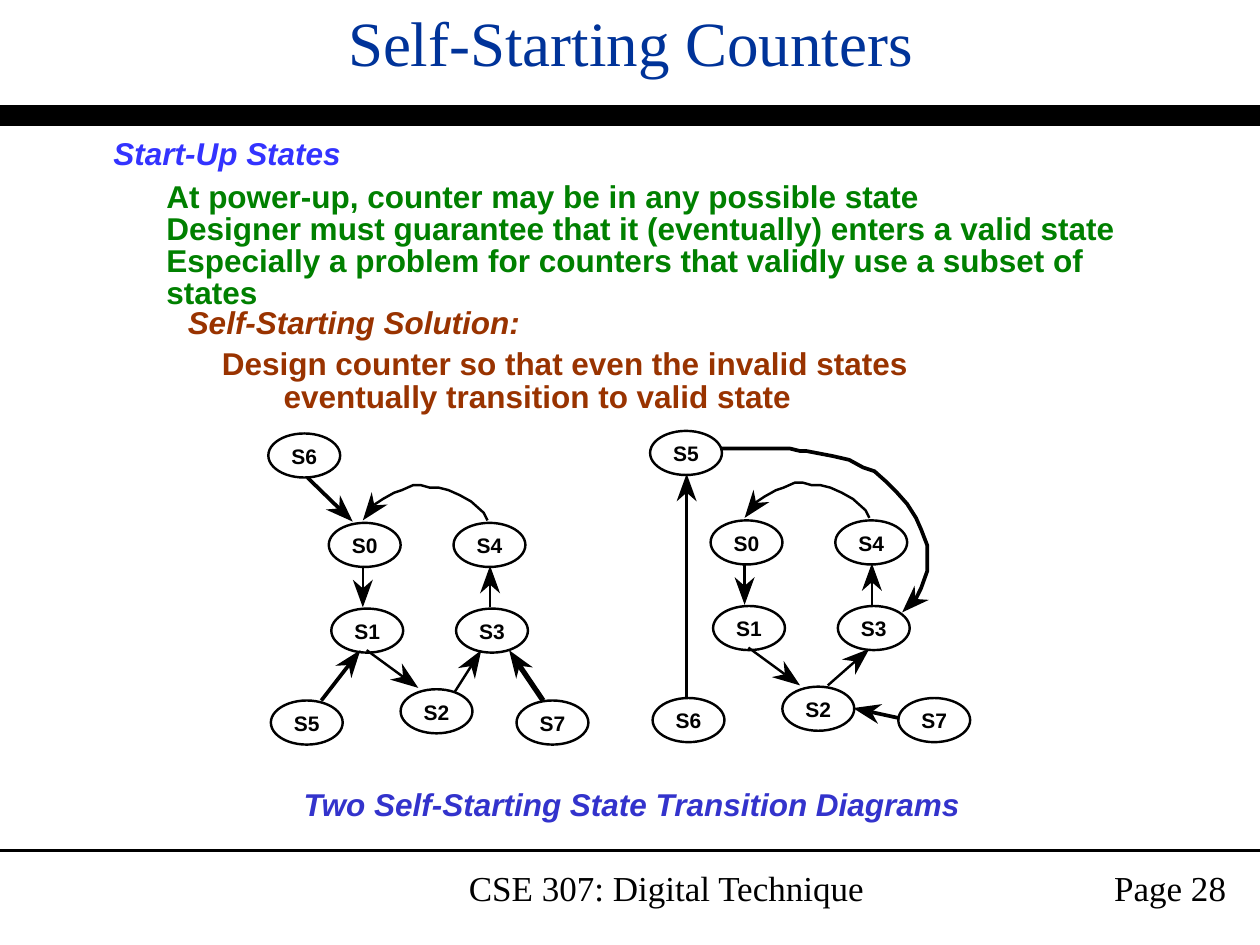
from math import hypot

from lxml.etree import SubElement
from pptx import Presentation
from pptx.dml.color import RGBColor
from pptx.enum.shapes import MSO_CONNECTOR as CONNECTOR, MSO_SHAPE as SHAPE
from pptx.enum.text import MSO_ANCHOR as ANCHOR, MSO_AUTO_SIZE as AUTO_SIZE
from pptx.enum.text import PP_ALIGN as ALIGN
from pptx.oxml.ns import qn
from pptx.util import Inches, Pt

BLACK = RGBColor(0x00, 0x00, 0x00)
WHITE = RGBColor(0xFF, 0xFF, 0xFF)
NAVY = RGBColor(0x00, 0x33, 0x99)
BLUE = RGBColor(0x33, 0x33, 0xFF)
GREEN = RGBColor(0x00, 0x80, 0x00)
BROWN = RGBColor(0x99, 0x33, 0x00)
INDIGO = RGBColor(0x33, 0x33, 0xCC)

presentation = Presentation()
presentation.slide_width, presentation.slide_height = Inches(10), Inches(7.5)
slide = presentation.slides.add_slide(presentation.slide_layouts[5])
shapes = slide.shapes


def write_text(shape, lines, align, spacing, insets, frame_format, font_format):
    frame = shape.text_frame
    frame.margin_left = frame.margin_right = Inches(insets[0])
    frame.margin_top = frame.margin_bottom = Inches(insets[1])
    for name, value in frame_format.items():
        setattr(frame, name, value)
    frame.text = "\n".join(lines)
    for paragraph in frame.paragraphs:
        paragraph.alignment = align
        paragraph.line_spacing = spacing
        paragraph.space_before = Pt(0)
        for name, value in font_format.items():
            if name == "color":
                paragraph.font.color.rgb = value
            else:
                setattr(paragraph.font, name, value)


def draw_path(points, width, closed=False):
    """Draw a straight line, an open curve or a filled outline."""
    places = [(Inches(x), Inches(y)) for x, y in points]
    if len(places) == 2:
        shape = shapes.add_connector(CONNECTOR.STRAIGHT, *places[0], *places[1])
        SubElement(shape._element.spPr, qn("a:effectLst"))
    else:
        builder = shapes.build_freeform(*places[0])
        builder.add_line_segments(places[1:], close=closed)
        shape = builder.convert_to_shape()
        shape.shadow.inherit = False
        if closed:
            shape.fill.solid()
            shape.fill.fore_color.rgb = BLACK
        else:
            shape.fill.background()
    if width:
        shape.line.color.rgb = BLACK
        shape.line.width = Pt(width)
    else:
        shape.line.fill.background()


# Rules above and below the content
for y, width in ((0.92, 12), (6.75, 1.5)):
    draw_path([(0, y), (10, y)], width)

# Title
title = shapes.title
title.left, title.top = Inches(2.69), Inches(0)
title.width, title.height = Inches(4.63), Inches(0.66)
write_text(title, ["Self-Starting Counters"], ALIGN.CENTER, 1, (0.07, 0.03),
           {"word_wrap": True, "vertical_anchor": ANCHOR.TOP},
           {"size": Pt(36), "name": "Times New Roman", "color": NAVY})

# Footer
for left, width, text, align in (
    (2.5, 5.58, "CSE 307: Digital Technique", ALIGN.CENTER),
    (8.5, 1.33, "Page 28", ALIGN.RIGHT),
):
    box = shapes.add_textbox(Inches(left), Inches(6.83), Inches(width), Inches(0.5))
    write_text(box, [text], align, 1, (0.1, 0.05), {"word_wrap": True},
               {"size": Pt(20), "name": "Times New Roman", "color": BLACK})

# Headings, statements and caption
TEXTS = [
    (0.83, 1.08, 1.95, 0.31, BLUE, True, ALIGN.LEFT, ["Start-Up States"]),
    (1.25, 1.42, 8.21, 0.82, GREEN, False, ALIGN.LEFT, [
        "At power-up, counter may be in any possible state",
        "Designer must guarantee that it (eventually) enters a valid state",
        "Especially a problem for counters that validly use a subset of states"]),
    (1.42, 2.42, 2.78, 0.31, BROWN, True, ALIGN.LEFT, ["Self-Starting Solution:"]),
    (1.69, 2.75, 5.65, 0.57, BROWN, False, ALIGN.LEFT, [
        "Design counter so that even the invalid states",
        "eventually transition to valid state"]),
    (2.3, 6.25, 5.43, 0.31, INDIGO, True, ALIGN.CENTER,
     ["Two Self-Starting State Transition Diagrams"]),
]
for left, top, width, height, color, italic, align, lines in TEXTS:
    box = shapes.add_textbox(Inches(left), Inches(top), Inches(width), Inches(height))
    write_text(box, lines, align, 0.85, (0.07, 0.03),
               {"word_wrap": False, "auto_size": AUTO_SIZE.SHAPE_TO_FIT_TEXT},
               {"size": Pt(18), "name": "Arial", "bold": True,
                "italic": italic, "color": color})
    if lines[-1].startswith("eventually"):
        properties = box.text_frame.paragraphs[-1]._p.get_or_add_pPr()
        properties.set("marL", str(Inches(0.49)))
        properties.set("indent", "0")

# State diagrams: both share one layout, the second is shifted
THIN, MEDIUM, THICK = 1.39, 2.13, 3
HEAD_LENGTH, HEAD_NOTCH, HEAD_HALF = 0.22, 0.15, 0.08
STATE_PLACES = [(2.61, 4.15), (2.63, 4.83), (3.18, 5.47), (3.62, 4.83),
                (3.6, 4.15), (2.13, 3.44), (2.15, 5.56), (4.1, 5.56)]
SHARED_ARROWS = [
    (THIN, [(2.88, 4.49), (2.88, 4.82)]),
    (THIN, [(2.91, 5.16), (3.32, 5.46)]),
    (THIN, [(3.89, 4.82), (3.89, 4.49)]),
    (THIN, [(3.87, 4.13), (3.84, 4.07), (3.74, 3.98), (3.65, 3.93), (3.56, 3.89),
            (3.48, 3.87), (3.41, 3.87), (3.34, 3.85), (3.28, 3.85), (3.19, 3.89),
            (3.13, 3.91), (3.04, 3.96), (2.98, 4), (2.88, 4.13)]),
]
DIAGRAMS = [
    (0, 0, "S0 S1 S2 S3 S4 S6 S5 S7", [
        (THIN, [(3.61, 5.49), (3.82, 5.16)]),
        (MEDIUM, [(2.44, 3.79), (2.8, 4.14)]),
        (MEDIUM, [(2.55, 5.56), (2.86, 5.16)]),
        (THICK, [(4.31, 5.56), (4.04, 5.16)])]),
    (3.03, -0.02, "S0 S1 S2 S3 S4 S5 S6 S7", [
        (THIN, [(3.54, 5.46), (3.87, 5.17)]),
        (THIN, [(2.42, 5.57), (2.42, 3.78)]),
        (MEDIUM, [(4.11, 5.72), (3.74, 5.64)]),
        (MEDIUM, [(2.69, 3.58), (3.24, 3.58), (3.32, 3.6), (3.37, 3.6), (3.58, 3.64),
                  (3.71, 3.67), (3.82, 3.73), (3.91, 3.76), (4, 3.84), (4.09, 3.93),
                  (4.17, 4.02), (4.24, 4.13), (4.28, 4.22), (4.33, 4.35),
                  (4.33, 4.55), (4.28, 4.69), (4.24, 4.77), (4.13, 4.88)])]),
]
for shift_x, shift_y, names, own_arrows in DIAGRAMS:
    for name, (left, top) in zip(names.split(), STATE_PLACES):
        state = shapes.add_shape(SHAPE.OVAL, Inches(left + shift_x),
                                 Inches(top + shift_y), Inches(0.57), Inches(0.35))
        state.shadow.inherit = False
        state.fill.solid()
        state.fill.fore_color.rgb = WHITE
        state.line.color.rgb = BLACK
        state.line.width = Pt(THIN)
        write_text(state, [name], ALIGN.CENTER, 0.9, (0, 0.05),
                   {"word_wrap": False, "vertical_anchor": ANCHOR.TOP},
                   {"size": Pt(12), "name": "Arial", "bold": True, "color": BLACK})

    for width, route in SHARED_ARROWS + own_arrows:
        points = [(x + shift_x, y + shift_y) for x, y in route]
        (near_x, near_y), (tip_x, tip_y) = points[-2:]
        length = hypot(tip_x - near_x, tip_y - near_y)
        unit_x, unit_y = (tip_x - near_x) / length, (tip_y - near_y) / length
        # Notched head: tip, one barb, notch, other barb
        head = [(tip_x - back * unit_x - side * unit_y,
                 tip_y - back * unit_y + side * unit_x)
                for back, side in ((0, 0), (HEAD_LENGTH, HEAD_HALF),
                                   (HEAD_NOTCH, 0), (HEAD_LENGTH, -HEAD_HALF))]
        draw_path(points[:-1] + [head[2]], width)
        draw_path(head, 0, closed=True)

presentation.save("out.pptx")
